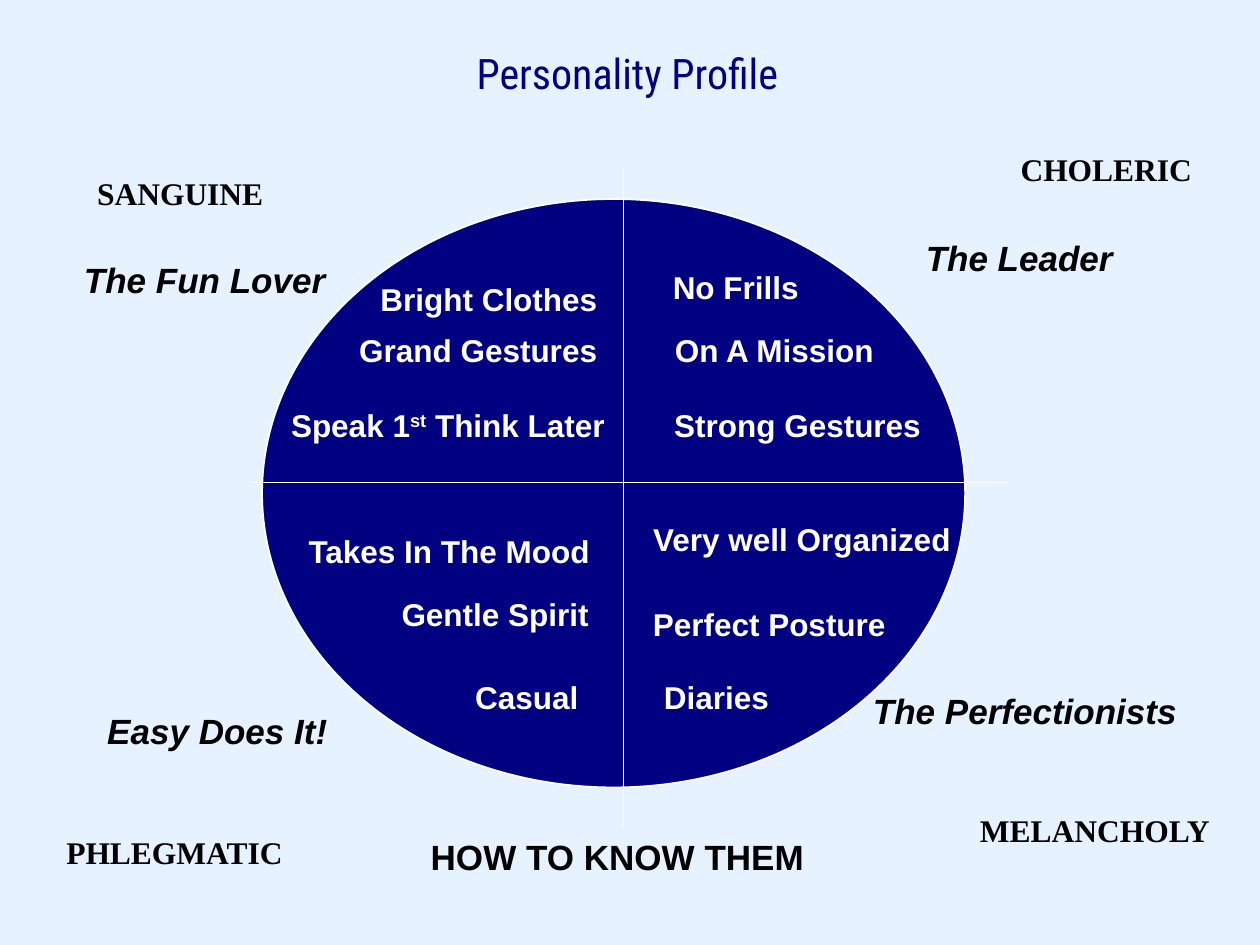
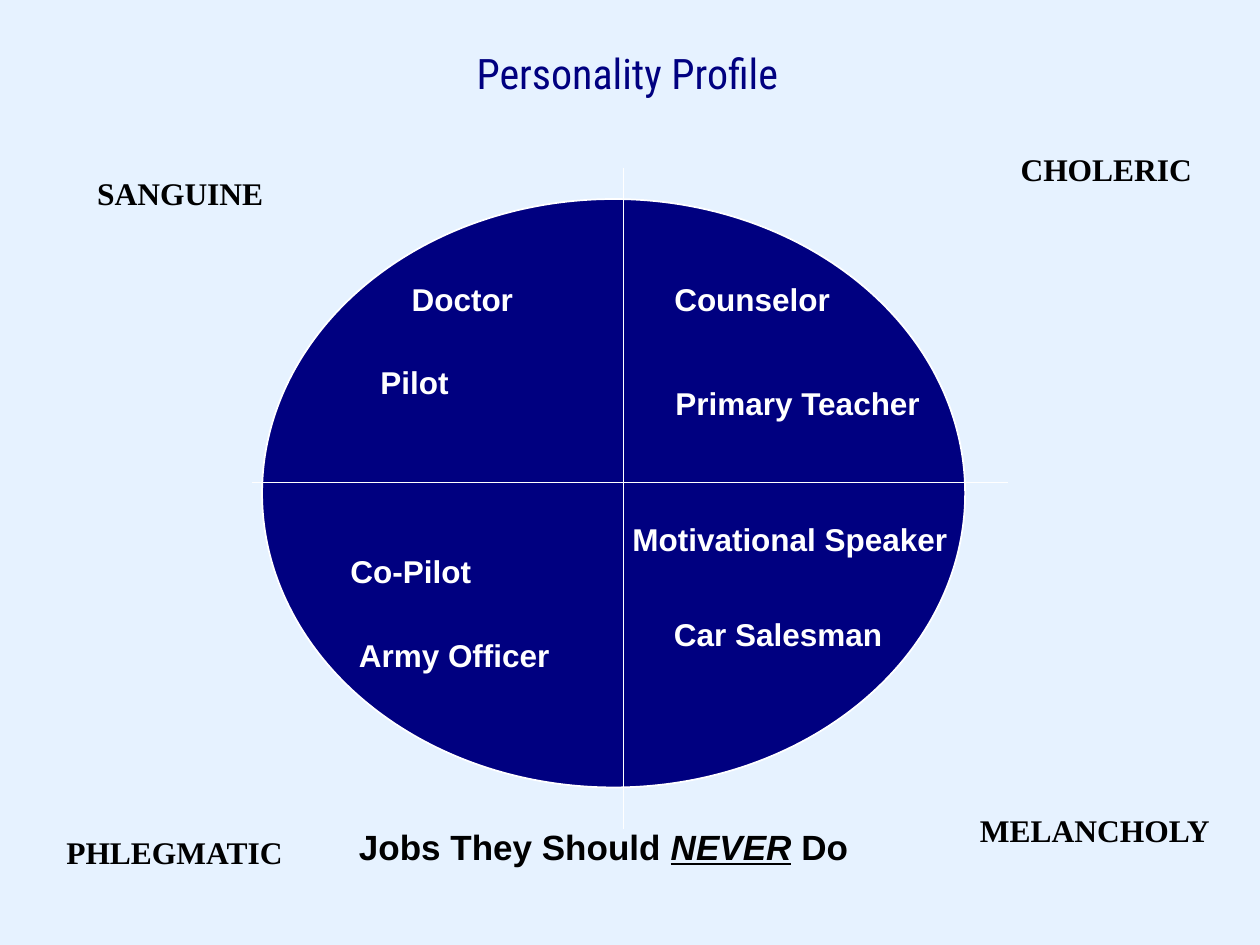
"""Build two personality profile slides around a four-quadrant ellipse."""
import lxml.etree
import pptx
import pptx.dml.color
import pptx.enum.shapes
import pptx.enum.text
import pptx.oxml.ns
import pptx.util

Inches = pptx.util.Inches
Pt = pptx.util.Pt
RGBColor = pptx.dml.color.RGBColor

PALE_BLUE = RGBColor(0xE6, 0xF2, 0xFF)
NAVY = RGBColor(0x00, 0x00, 0x80)
WHITE = RGBColor(0xFF, 0xFF, 0xFF)
BLACK = RGBColor(0x00, 0x00, 0x00)

SIDE_SLACK = 0.03

TEMPERAMENTS = [
    ("SANGUINE", 0.67, 1.33, 1.52),
    ("MELANCHOLY", 7.67, 6.39, 2.04),
    ("PHLEGMATIC", 0.42, 6.56, 1.93),
    ("CHOLERIC", 8, 1.14, 1.56),
]
SIGNS = [
    ("Bright Clothes", 2.92, 2.17, 1.92),
    ("Grand Gestures", 2.75, 2.58, 2.09),
    (["Speak 1", "st", " Think Later"], 2.21, 3.17, 2.69),
    ("No Frills", 5.24, 2.08, 1.2),
    ("On A Mission", 5.25, 2.58, 1.79),
    ("Strong Gestures", 5.25, 3.17, 2.16),
    ("Takes In The Mood", 2.34, 4.17, 2.45),
    ("Gentle Spirit", 3.09, 4.67, 1.68),
    ("Casual", 3.67, 5.33, 1.02),
    ("Very well Organized", 5.08, 4.08, 2.57),
    ("Perfect Posture", 5.08, 4.75, 2.05),
    ("Diaries", 5.17, 5.33, 1.03),
]
NICKNAMES = [
    ("The Fun Lover", 0.57, 2, 2.11),
    ("The Leader", 7.25, 1.83, 1.68),
    ("Easy Does It!", 0.75, 5.58, 1.95),
    ("The Perfectionists", 6.83, 5.42, 2.61),
]
UNSUITABLE_JOBS = [
    ("Doctor", 3.17, 2.17, 1),
    ("Pilot", 2.92, 2.83, 0.74),
    ("Counselor", 5.25, 2.17, 1.44),
    ("Primary Teacher", 5.25, 3, 2.16),
    ("Co-Pilot", 2.68, 4.33, 1.16),
    ("Army Officer", 2.75, 5, 1.71),
    ("Motivational Speaker", 4.92, 4.08, 2.7),
    ("Car Salesman", 5.25, 4.83, 1.85),
]


def add_label(slide, text, left, top, width, size=18, color=BLACK,
              name="Arial", bold=True, italic=None):
    """Add a centred one-line label, slightly wider than its text, and return its runs."""
    height = 0.4 if size == 18 else 0.44
    shape = slide.shapes.add_textbox(
        Inches(left - SIDE_SLACK), Inches(top), Inches(width + 2 * SIDE_SLACK), Inches(height))
    frame = shape.text_frame
    frame.word_wrap = False
    frame.auto_size = pptx.enum.text.MSO_AUTO_SIZE.SHAPE_TO_FIT_TEXT
    paragraph = frame.paragraphs[0]
    paragraph.alignment = pptx.enum.text.PP_ALIGN.CENTER
    for part in [text] if isinstance(text, str) else text:
        paragraph.add_run().text = part
    font = paragraph.font
    font.name = name
    font.size = Pt(size)
    font.bold = bold
    font.italic = italic
    font.color.rgb = color
    return paragraph.runs


def add_labels(slide, labels, **style):
    """Add a group of labels in one style and return the runs of each."""
    return [add_label(slide, *label, **style) for label in labels]


def add_divider(slide, start, end):
    """Add a thin white line between two points."""
    line = slide.shapes.add_connector(
        pptx.enum.shapes.MSO_CONNECTOR.STRAIGHT, *map(Inches, start + end))
    line.line.color.rgb = WHITE
    line.line.width = Pt(0.75)
    properties = line._element.spPr
    lxml.etree.SubElement(properties, pptx.oxml.ns.qn("a:effectLst"))


def add_ellipse(slide):
    """Add the navy ellipse behind the quadrants."""
    ellipse = slide.shapes.add_shape(
        pptx.enum.shapes.MSO_SHAPE.OVAL, Inches(2.08), Inches(1.58), Inches(5.58), Inches(4.67))
    ellipse.shadow.inherit = False
    ellipse.fill.solid()
    ellipse.fill.fore_color.rgb = NAVY
    ellipse.line.color.rgb = WHITE
    ellipse.line.width = Pt(1)


def add_profile_slide(presentation):
    """Add a slide with the title, quadrants and temperament names."""
    slide = presentation.slides.add_slide(presentation.slide_layouts[6])
    add_ellipse(slide)
    add_divider(slide, (4.95, 1.33), (4.95, 6.58))
    add_divider(slide, (2, 3.83), (8, 3.83))
    add_labels(slide, TEMPERAMENTS, name="Times New Roman")
    add_label(slide, "Personality Profile", 3.08, 0.33, 3.8, size=24, color=NAVY,
              name="Roboto Condensed", bold=False)
    return slide


def add_recognition_slide(presentation):
    """Add the slide on how to know each temperament."""
    slide = add_profile_slide(presentation)
    add_label(slide, "HOW TO KNOW THEM", 3.14, 6.58, 3.52, size=20)
    for runs in add_labels(slide, SIGNS, color=WHITE):
        for ordinal in runs[1:2]:
            ordinal._r.get_or_add_rPr().set("baseline", "30000")
    add_labels(slide, NICKNAMES, size=20, italic=True)


def add_jobs_slide(presentation):
    """Add the slide on the jobs that suit each temperament least."""
    slide = add_profile_slide(presentation)
    heading = ["Jobs They Should ", "NEVER", " Do"]
    never = add_label(slide, heading, 2.75, 6.5, 4.08, size=20)[1]
    never.font.italic = True
    never.font.underline = True
    add_labels(slide, UNSUITABLE_JOBS, color=WHITE)


def main():
    """Build and save the presentation."""
    presentation = pptx.Presentation()
    presentation.slide_width = Inches(10)
    presentation.slide_height = Inches(7.5)
    background = presentation.slide_master.background.fill
    background.solid()
    background.fore_color.rgb = PALE_BLUE
    add_recognition_slide(presentation)
    add_jobs_slide(presentation)
    presentation.save("out.pptx")


if __name__ == "__main__":
    main()
